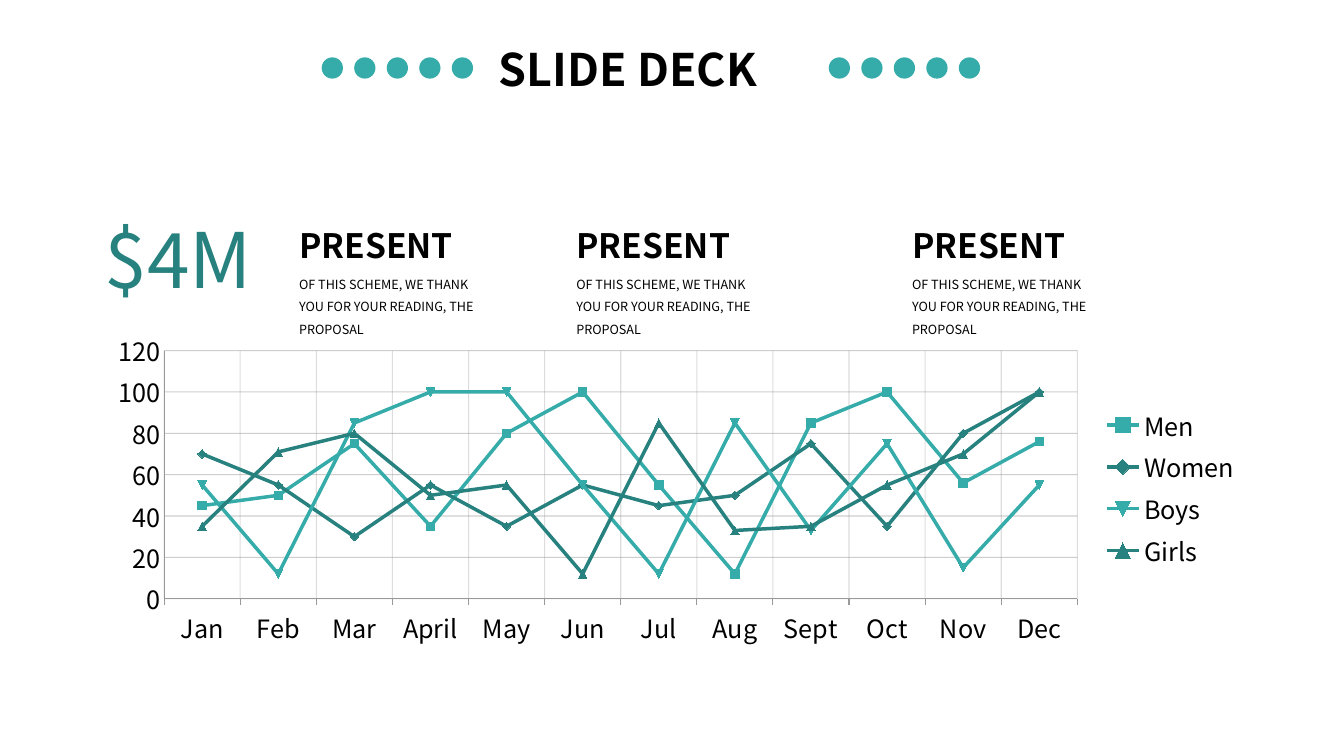
from lxml import etree
from pptx import Presentation
from pptx.chart.data import CategoryChartData
from pptx.dml.color import RGBColor
from pptx.enum.chart import XL_CHART_TYPE, XL_LEGEND_POSITION, XL_TICK_MARK
from pptx.enum.shapes import MSO_SHAPE
from pptx.enum.text import MSO_AUTO_SIZE
from pptx.oxml import parse_xml
from pptx.oxml.ns import nsdecls, qn
from pptx.util import Pt

LINES = XL_CHART_TYPE.LINE_MARKERS
RIGHT = XL_LEGEND_POSITION.RIGHT
OUT, NONE = XL_TICK_MARK.OUTSIDE, XL_TICK_MARK.NONE
OVAL = MSO_SHAPE.OVAL
FIT = MSO_AUTO_SIZE.SHAPE_TO_FIT_TEXT

FONT = "Noto Sans CJK JP"
BLACK = RGBColor(0x00, 0x00, 0x00)
TEAL = RGBColor(0x35, 0xAC, 0xA9)
DARK = RGBColor(0x27, 0x81, 0x7E)
GREY = RGBColor(0x99, 0x99, 0x99)

TITLE = "SLIDE DECK"
TOTAL = "$4M"
HEAD = "PRESENT"
BODY = "OF THIS SCHEME, WE THANK YOU FOR YOUR READING, THE PROPOSAL"
NOTES = [206.6, 404.6, 644.4]  # left edges of the three notes

MONTHS = ["Jan", "Feb", "Mar", "April", "May", "Jun",
          "Jul", "Aug", "Sept", "Oct", "Nov", "Dec"]
SERIES = [
    ("Men", [45, 50, 75, 35, 80, 100, 55, 12, 85, 100, 56, 76], TEAL),
    ("Women", [70, 55, 30, 55, 35, 55, 45, 50, 75, 35, 80, 100], DARK),
    ("Boys", [55, 12, 85, 100, 100, 55, 12, 85, 33, 75, 15, 55], TEAL),
    ("Girls", [35, 71, 80, 50, 55, 12, 85, 33, 35, 55, 70, 100], DARK),
]
PLOT = {"x": 0.06, "y": 0.08, "w": 0.79, "h": 0.76}  # shares of the chart

DOTS = [229.8, 592]  # left edges of the two rows
COUNT, STEP, SIZE, DOT_TOP = 5, 23.23, 15.2, 41


def add_text(slide, text, box, size, color=BLACK, bold=False, wrap=False):
    shape = slide.shapes.add_textbox(*map(Pt, box))
    frame = shape.text_frame
    frame.text = text
    frame.word_wrap = wrap
    frame.auto_size = FIT
    font = frame.paragraphs[0].runs[0].font
    font.name, font.size, font.bold = FONT, Pt(size), bold
    font.color.rgb = color
    return frame.paragraphs[0]


def style_axis(axis, tick, alpha):
    """Grey axis line, with grid lines at the given opacity in percent."""
    axis.major_tick_mark = tick
    axis.minor_tick_mark = NONE
    axis.format.line.color.rgb = GREY
    axis.format.line.width = Pt(0.75)
    axis.has_major_gridlines = True
    line = axis.major_gridlines.format.line
    line.color.rgb = GREY
    line.width = Pt(0.75)
    color = axis.major_gridlines._xAx.find(
        qn("c:majorGridlines")).find(".//" + qn("a:srgbClr"))
    etree.SubElement(color, qn("a:alpha")).set("val", str(alpha * 1000))


def place_plot(chart):
    """Fix the inner plot area inside the chart."""
    area = chart._chartSpace.chart.plotArea
    old = area.find(qn("c:layout"))
    if old is not None:
        area.remove(old)
    parts = "".join(f'<c:{k} val="{v}"/>' for k, v in PLOT.items())
    area.insert(0, parse_xml(
        f'<c:layout {nsdecls("c")}><c:manualLayout>'
        '<c:layoutTarget val="inner"/><c:xMode val="edge"/>'
        f'<c:yMode val="edge"/>{parts}</c:manualLayout></c:layout>'))


def add_lines(slide):
    data = CategoryChartData()
    data.categories = MONTHS
    for name, vals, _ in SERIES:
        data.add_series(name, vals)
    box = map(Pt, (67.7, 231.8, 825.8, 233.3))
    chart = slide.shapes.add_chart(LINES, *box, data).chart
    chart.has_title = False
    chart.font.name, chart.font.size = FONT, Pt(18)
    chart.font.color.rgb = BLACK
    chart.has_legend = True
    chart.legend.position = RIGHT
    chart.legend.include_in_layout = False
    style_axis(chart.category_axis, OUT, 33)
    style_axis(chart.value_axis, NONE, 47)
    scale = chart.value_axis
    scale.minimum_scale, scale.maximum_scale, scale.major_unit = 0, 120, 20
    plot = chart.plots[0]
    plot.vary_by_categories = False
    for line, (_, _, color) in zip(plot.series, SERIES):
        line.smooth = False
        line.format.line.color.rgb = color
        line.format.line.width = Pt(2.5)
        mark = line.marker
        mark.size = 6
        mark.format.fill.solid()
        mark.format.fill.fore_color.rgb = color
        mark.format.line.color.rgb = color
    place_plot(chart)


def add_dots(slide, left):
    for i in range(COUNT):
        dot = slide.shapes.add_shape(
            OVAL, Pt(left + i * STEP), Pt(DOT_TOP), Pt(SIZE), Pt(SIZE))
        dot.shadow.inherit = False
        dot.fill.solid()
        dot.fill.fore_color.rgb = TEAL
        dot.line.fill.background()


def main():
    deck = Presentation()
    deck.slide_width, deck.slide_height = Pt(960), Pt(540)
    slide = deck.slides.add_slide(deck.slide_layouts[6])
    add_lines(slide)
    add_text(slide, TOTAL, (67.7, 147.6, 141, 73.4), 54.7, DARK)
    for left in NOTES:
        add_text(slide, HEAD, (left, 157, 129, 36), 24, bold=True)
        body = add_text(slide, BODY, (left, 188.6, 152, 54), 9, wrap=True)
        body.line_spacing = 1.5
    add_text(slide, TITLE, (349.2, 26.6, 235.4, 46), 32, bold=True)
    for left in DOTS:
        add_dots(slide, left)
    deck.save("out.pptx")


if __name__ == "__main__":
    main()
